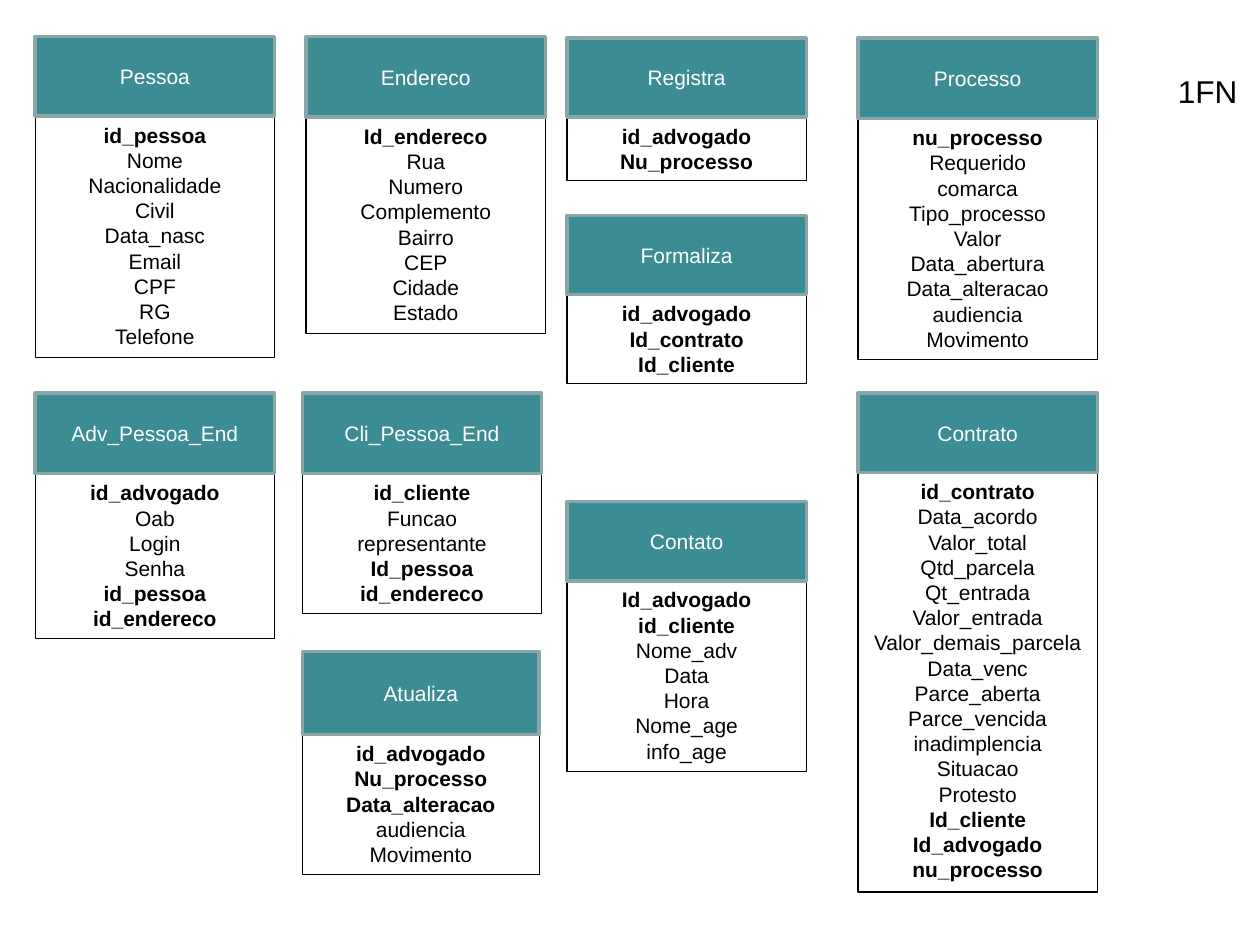
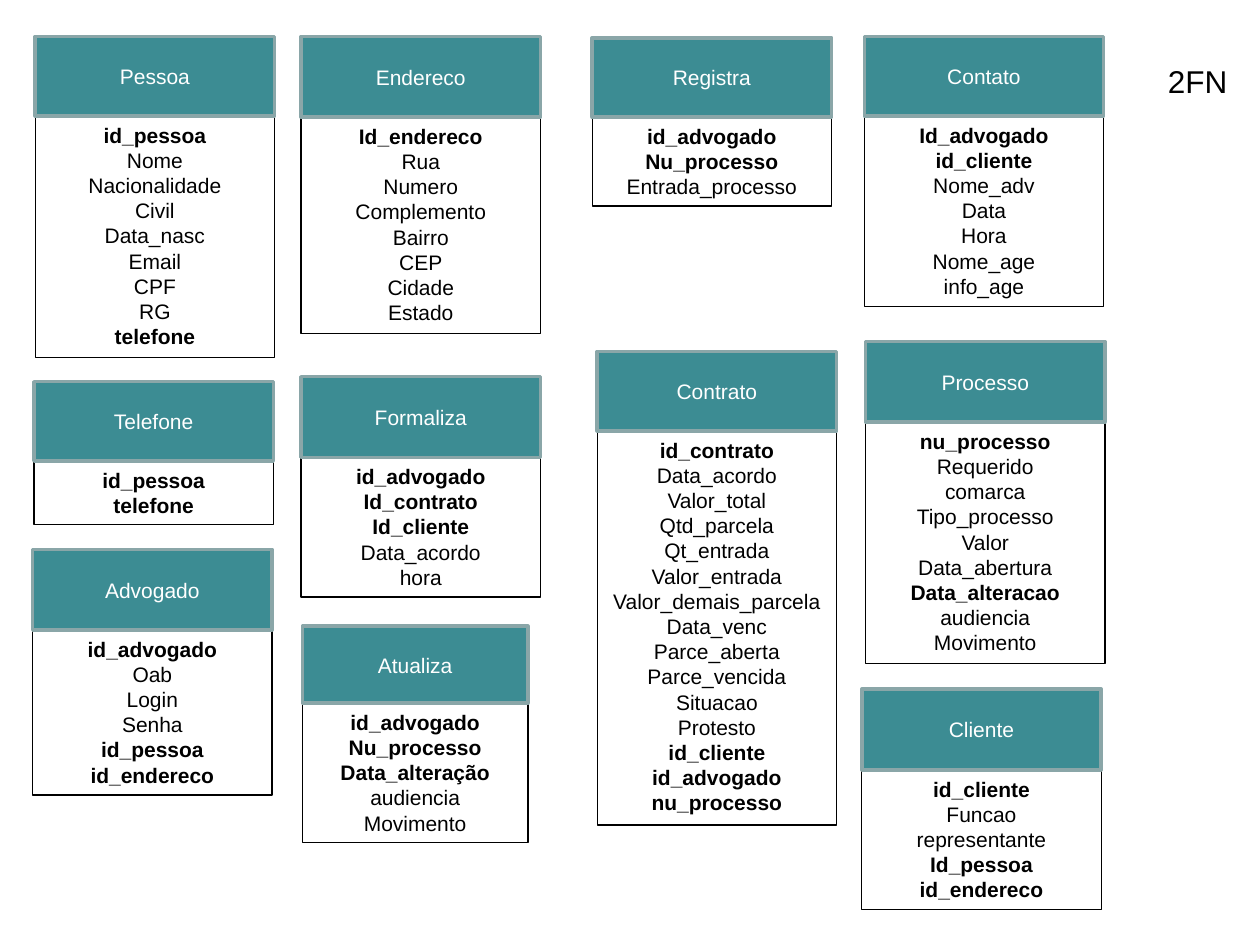
from pptx import Presentation
from pptx.dml.color import RGBColor
from pptx.enum import shapes, text
from pptx.util import Inches, Pt

COLORS = {"header": "3C8C93", "border": "8AA6A8", "ink": "000000", "title": "FFFFFF"}
FONT = "Arial"
LINE_HEIGHT = 0.2018
PADDING = 0.1

PESSOA = "*id_pessoa Nome Nacionalidade Civil Data_nasc Email CPF RG "
ENDERECO = "*Id_endereco Rua Numero Complemento Bairro CEP Cidade Estado"
CLIENTE = "*id_cliente Funcao representante *Id_pessoa/id_endereco"
ADVOGADO = "*id_advogado Oab Login Senha *id_pessoa *id_endereco"
PROCESSO = "*nu_processo Requerido comarca Tipo_processo Valor Data_abertura "
CONTRATO = ("*id_contrato Data_acordo Valor_total Qtd_parcela Qt_entrada Valor_entrada "
            "Valor_demais_parcela Data_venc Parce_aberta Parce_vencida ")
REGISTRA = "*id_advogado *Nu_processo"
CONTATO = "*Id_advogado *id_cliente Nome_adv Data Hora Nome_age/info_age"
FORMALIZA = "*id_advogado *Id_contrato *Id_cliente"

# Each entity: title, left, header top, body top, width, fields
NORMAL_FORMS = [
    ("1FN", 9.25, 0.52, [
        ("Pessoa", 0.28, 0.29, 0.92, 1.9, PESSOA + "Telefone"),
        ("Endereco", 2.43, 0.29, 0.93, 1.9, ENDERECO),
        ("Cli_Pessoa_End", 2.4, 3.12, 3.76, 1.9, CLIENTE),
        ("Adv_Pessoa_End", 0.28, 3.12, 3.76, 1.9, ADVOGADO),
        ("Processo", 6.81, 0.3, 0.94, 1.9, PROCESSO + "Data_alteracao audiencia Movimento"),
        ("Contrato", 6.81, 3.12, 3.75, 1.9,
         CONTRATO + "inadimplencia Situacao Protesto *Id_cliente *Id_advogado *nu_processo"),
        ("Registra", 4.5, 0.3, 0.93, 1.9, REGISTRA),
        ("Contato", 4.5, 3.98, 4.61, 1.9, CONTATO),
        ("Formaliza", 4.5, 1.71, 2.34, 1.9, FORMALIZA),
        ("Atualiza", 2.4, 5.17, 5.83, 1.88,
         REGISTRA + " *Data_alteracao audiencia Movimento"),
    ]),
    ("2FN", 9.17, 0.44, [
        ("Pessoa", 0.28, 0.29, 0.92, 1.9, PESSOA + "*telefone"),
        ("Endereco", 2.39, 0.29, 0.93, 1.9, ENDERECO),
        ("Cliente", 6.84, 5.47, 6.11, 1.9, CLIENTE),
        ("Advogado", 0.26, 4.36, 5, 1.9, ADVOGADO),
        ("Processo", 6.87, 2.71, 3.35, 1.9, PROCESSO + "*Data_alteracao audiencia Movimento"),
        ("Contrato", 4.74, 2.79, 3.42, 1.9,
         CONTRATO + "Situacao Protesto *id_cliente *id_advogado *nu_processo"),
        ("Registra", 4.7, 0.3, 0.93, 1.9, REGISTRA + " Entrada_processo"),
        ("Contato", 6.86, 0.29, 0.92, 1.9, CONTATO),
        ("Formaliza", 2.39, 2.99, 3.63, 1.9, FORMALIZA + " Data_acordo hora"),
        ("Telefone", 0.27, 3.03, 3.66, 1.9, "*id_pessoa *telefone"),
        ("Atualiza", 2.4, 4.97, 5.58, 1.79,
         REGISTRA + " *Data_alteração audiencia Movimento"),
    ]),
]


def add_box(slide, left, top, width, height, line_color, line_width):
    box = slide.shapes.add_shape(shapes.MSO_SHAPE.RECTANGLE, Inches(left), Inches(top),
                                 Inches(width), Inches(height))
    box.shadow.inherit = False
    box.fill.background()
    box.line.color.rgb = RGBColor.from_string(COLORS[line_color])
    box.line.width = Pt(line_width)
    box.text_frame.word_wrap = True
    return box


def write(paragraph, content, size, color, bold=False):
    paragraph.text = content
    paragraph.font.name = FONT
    paragraph.font.size = Pt(size)
    paragraph.font.bold = bold
    paragraph.font.color.rgb = RGBColor.from_string(COLORS[color])


prs = Presentation()
prs.slide_width, prs.slide_height = Inches(10), Inches(7.5)

for form, form_left, form_top, entities in NORMAL_FORMS:
    slide = prs.slides.add_slide(prs.slide_layouts[6])

    for title, left, top, body_top, width, field_list in entities:
        fields = field_list.split()
        line_count = len(fields) + field_list.count("/")
        body = add_box(slide, left, body_top, width, PADDING + LINE_HEIGHT * line_count, "ink", 0.75)
        body.text_frame.vertical_anchor = text.MSO_ANCHOR.TOP
        body.text_frame.auto_size = text.MSO_AUTO_SIZE.SHAPE_TO_FIT_TEXT
        for index, field in enumerate(fields):
            row = body.text_frame.add_paragraph() if index else body.text_frame.paragraphs[0]
            write(row, field.lstrip("*").replace("/", "\v"), 12, "ink", field.startswith("*"))
            row.alignment = text.PP_ALIGN.CENTER

        header = add_box(slide, left, top, width, body_top - top, "border", 2)
        header.fill.solid()
        header.fill.fore_color.rgb = RGBColor.from_string(COLORS["header"])
        header.text_frame.vertical_anchor = text.MSO_ANCHOR.MIDDLE
        write(header.text_frame.paragraphs[0], title, 12, "title")
        header.text_frame.paragraphs[0].alignment = text.PP_ALIGN.CENTER

    form_label = slide.shapes.add_textbox(Inches(form_left), Inches(form_top), Inches(0.68), Inches(0.4))
    form_label.text_frame.word_wrap = False
    form_label.text_frame.auto_size = text.MSO_AUTO_SIZE.SHAPE_TO_FIT_TEXT
    write(form_label.text_frame.paragraphs[0], form, 18, "ink")

prs.save("out.pptx")
